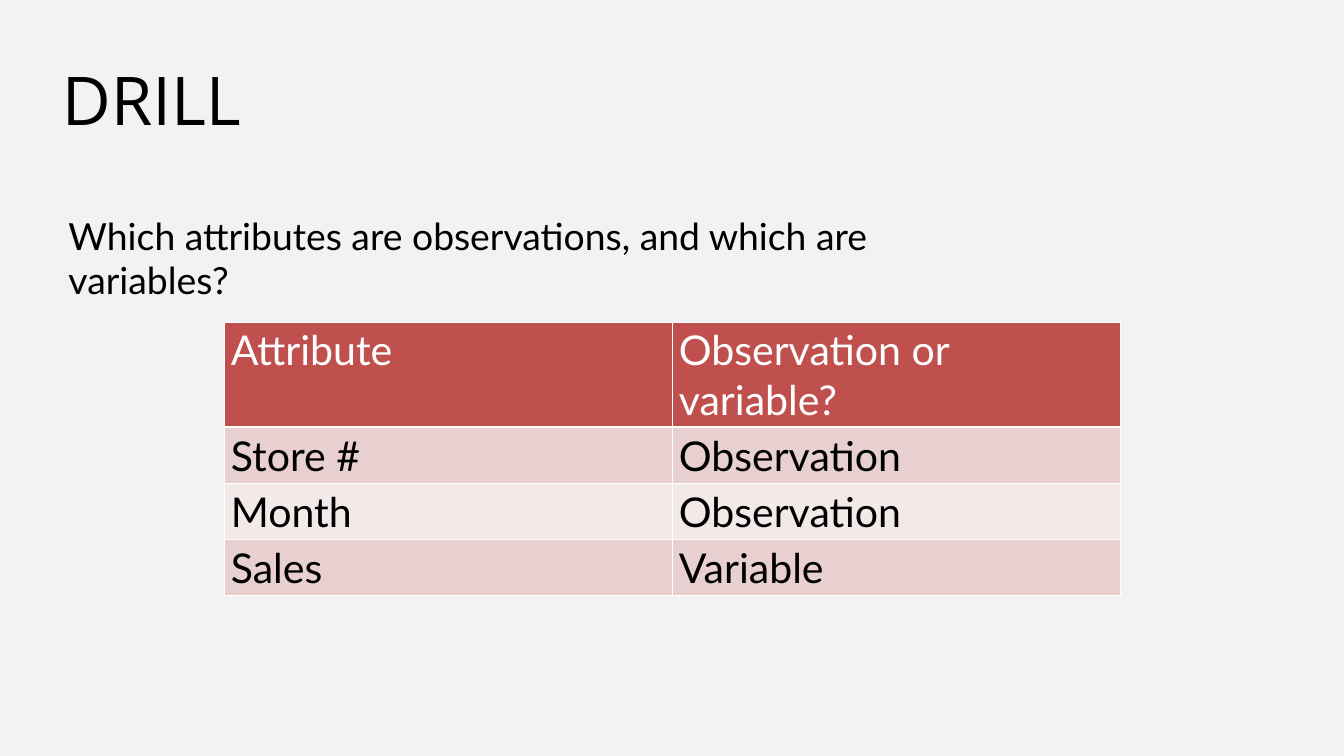
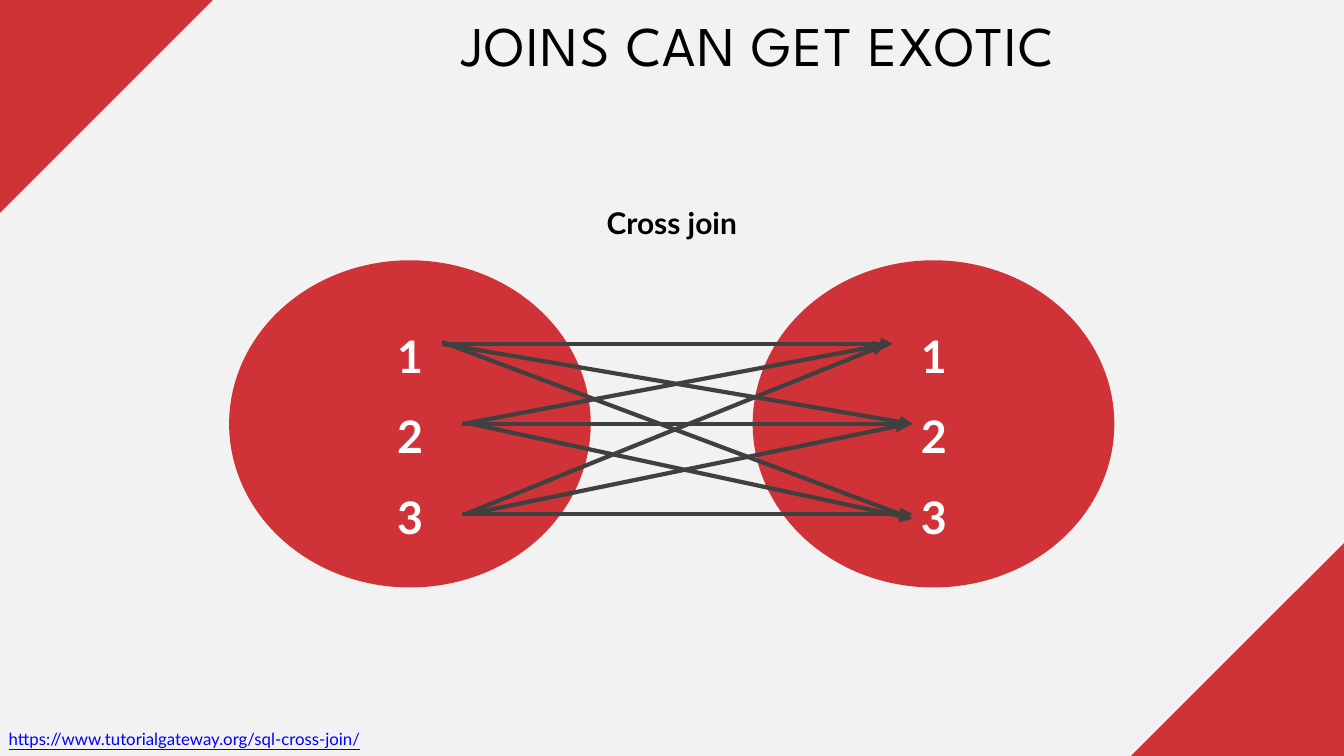
import dataclasses

import pptx
import pptx.dml.color
import pptx.enum.shapes
import pptx.enum.text
import pptx.oxml
import pptx.oxml.ns
import pptx.util

Cm, Pt = pptx.util.Cm, pptx.util.Pt
Rgb = pptx.dml.color.RGBColor.from_string
Align = pptx.enum.text.PP_ALIGN
Shape = pptx.enum.shapes.MSO_SHAPE
NS = pptx.oxml.ns.nsdecls("a")


@dataclasses.dataclass(frozen=True)
class Theme:
    page: str = "F2F2F2"
    red: str = "CF3338"
    head: str = "C0504D"
    bands: tuple = ("E8D0D0", "F4E9E9")
    ink: str = "000000"
    white: str = "FFFFFF"
    grey: str = "404040"
    link: str = "0000FF"
    body: str = "Lato"
    title: float = 72
    join: float = 60
    count: float = 48
    cell: float = 44
    ask: float = 40
    label: float = 32
    small: float = 18


look = Theme()


def write(frame, lines, size, face=look.body, ink=look.ink, align=Align.LEFT,
          bold=False, space=None, inset=None):
    """Fill a text frame, one paragraph a line."""
    frame.word_wrap = True
    frame.vertical_anchor = pptx.enum.text.MSO_ANCHOR.TOP
    if inset is not None:
        frame.margin_left = frame.margin_right = inset
        frame.margin_top = frame.margin_bottom = inset
    for n, line in enumerate(lines):
        para = frame.paragraphs[0] if n == 0 else frame.add_paragraph()
        para.text = line
        para.alignment = align
        para.line_spacing = space
        font = para.font
        font.name, font.size, font.bold = face, Pt(size), bold
        font.color.rgb = Rgb(ink)
    return frame


def paint(shape, fill):
    """Give a shape a plain fill with no outline or shadow."""
    shape.shadow.inherit = False
    shape.fill.solid()
    shape.fill.fore_color.rgb = Rgb(fill)
    shape.line.fill.background()


# Deck and shared background
deck = pptx.Presentation()
deck.slide_width, deck.slide_height = Cm(50.8), Cm(28.58)
back = deck.slide_master.background.fill
back.solid()
back.fore_color.rgb = Rgb(look.page)
plain = deck.slide_layouts[5]

# Slides and their titles
titles = [
    ("DRILL", (2.34, 1.7, 43.41, 3.35), look.title, "Open Sans", Align.LEFT, 100.8),
    ("JOINS CAN GET EXOTIC", (10.59, 1.57, 35.41, 1.65), look.join,
     "League Spartan", Align.CENTER, 38.4),
]
for words, place, size, face, align, space in titles:
    title = deck.slides.add_slide(plain).shapes.title
    title.left, title.top, title.width, title.height = map(Cm, place)
    frame = write(title.text_frame, [words], size, face, align=align,
                  space=Pt(space), inset=0)
    frame.auto_size = pptx.enum.text.MSO_AUTO_SIZE.NONE
drill, joins = deck.slides

# The second title is spaced out and indented
para = joins.shapes.title.text_frame.paragraphs[0]
para._p.get_or_add_pPr().set("marL", str(Cm(0.74)))
para.runs[0]._r.get_or_add_rPr().set("spc", "160")

# Drill: question
ask = drill.shapes.add_textbox(Cm(2.34), Cm(7.92), Cm(35.76), Cm(1.96))
write(ask.text_frame,
      ["Which attributes are observations, and which are variables?"], look.ask)

# Drill: table
rows = [
    ("Attribute", "Observation or variable?"),
    ("Store #", "Observation"),
    ("Month", "Observation"),
    ("Sales", "Variable"),
]
table = drill.shapes.add_table(len(rows), 2, Cm(8.47), Cm(12.17),
                               Cm(33.87), Cm(10.32)).table
for r, row in enumerate(rows):
    table.rows[r].height = Cm(2.12 if r else 3.96)
    for c, words in enumerate(row):
        cell = table.cell(r, c)
        write(cell.text_frame, [words], look.cell,
              ink=look.ink if r else look.white)
        # Borders go before the fill; a thick rule parts off the head
        edges = {"L": 1, "R": 1, "T": 3 if r == 1 else 1, "B": 1 if r else 3}
        for side, wide in edges.items():
            cell._tc.get_or_add_tcPr().append(pptx.oxml.parse_xml(
                f'<a:ln{side} {NS} w="{Pt(wide)}"><a:solidFill>'
                f'<a:srgbClr val="{look.white}"/></a:solidFill></a:ln{side}>'))
        cell.fill.solid()
        cell.fill.fore_color.rgb = Rgb(look.bands[(r - 1) % 2] if r else look.head)

# Joins: corner wedges
wedge = 8.05
wide, high = 50.8, 28.58
for x, y, step in [(0, 0, wedge), (wide, high, -wedge)]:
    pen = joins.shapes.build_freeform(Cm(x), Cm(y))
    pen.add_line_segments([(Cm(x + step), Cm(y)), (Cm(x), Cm(y + step))])
    paint(pen.convert_to_shape(), look.red)

# Joins: source link
link = joins.shapes.add_textbox(Cm(0.08), Cm(27.41), Cm(21.79), Cm(1.02))
write(link.text_frame, ["https://www.tutorialgateway.org/sql-cross-join/"],
      look.small, ink=look.link)
link.text_frame.paragraphs[0].font.underline = True

# Joins: two sets, then their label and members
for x in (8.66, 28.45):
    paint(joins.shapes.add_shape(Shape.OVAL, Cm(x), Cm(9.84), Cm(13.67), Cm(12.37)),
          look.red)
label = joins.shapes.add_textbox(Cm(17.04), Cm(7.62), Cm(16.71), Cm(1.63))
write(label.text_frame, ["Cross join"], look.label, align=Align.CENTER, bold=True)
for x in (13.18, 32.97):
    box = joins.shapes.add_textbox(Cm(x), Cm(11.27), Cm(4.65), Cm(9.09))
    write(box.text_frame, ["1", "2", "3"], look.count, ink=look.white,
          align=Align.CENTER, bold=True, space=1.5)

# Joins: arrows from each member to every other
arrows = [
    (16.71, 13, 33.76, 13), (16.71, 13, 34.49, 16.03), (16.71, 12.93, 34.49, 19.61),
    (17.48, 16.03, 34.49, 16.03), (17.48, 16.03, 33.45, 13.03),
    (17.83, 16.03, 34.49, 19.61),
    (17.48, 19.43, 34.49, 19.43), (17.6, 19.43, 33.45, 13.03),
    (17.83, 19.41, 34.32, 16.03),
]
for ends in arrows:
    arrow = joins.shapes.add_connector(
        pptx.enum.shapes.MSO_CONNECTOR.STRAIGHT, *map(Cm, ends))
    arrow.line.width = Pt(4.5)
    arrow.line.color.rgb = Rgb(look.grey)
    arrow.line._ln.append(pptx.oxml.parse_xml(f'<a:tailEnd {NS} type="triangle"/>'))
    arrow._element.spPr.append(pptx.oxml.parse_xml(f"<a:effectLst {NS}/>"))

deck.save("out.pptx")
